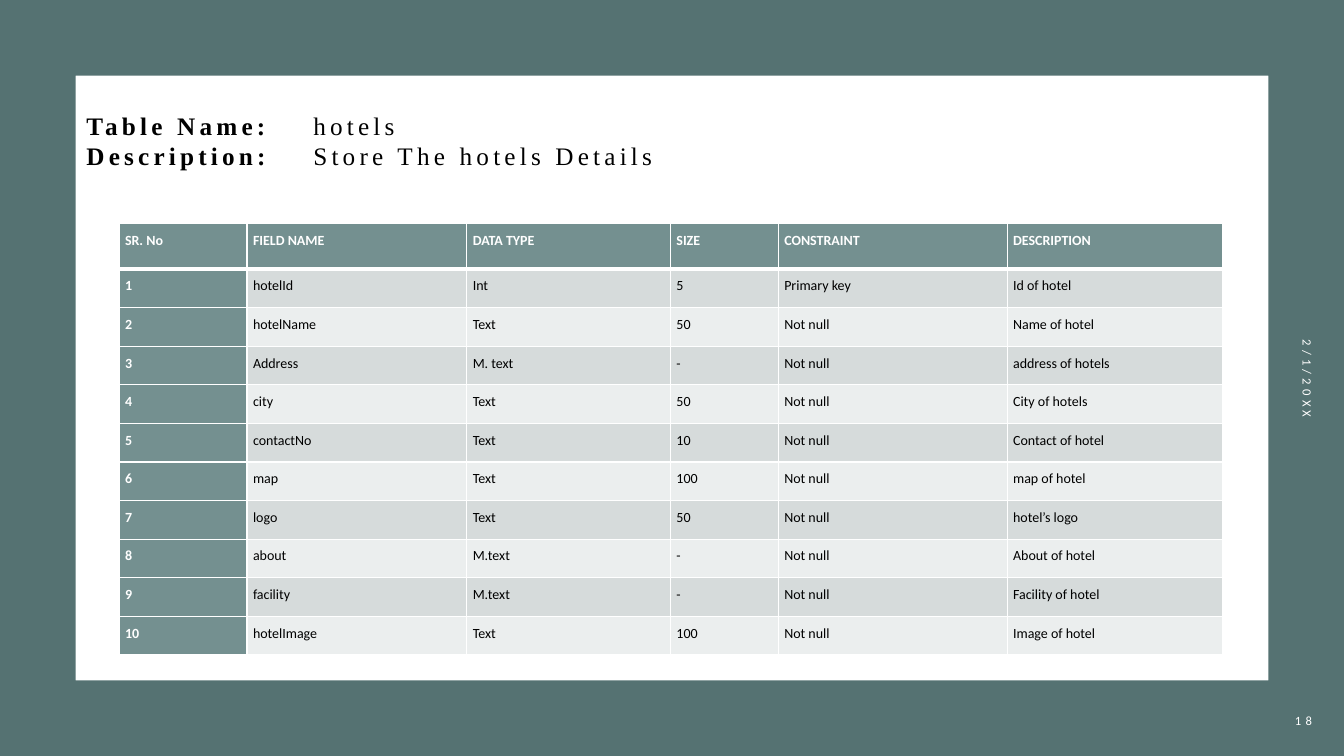
import pptx
import pptx.dml.color
import pptx.enum.shapes
import pptx.enum.text
import pptx.oxml.ns
import pptx.util
from lxml import etree

Inches = pptx.util.Inches
Pt = pptx.util.Pt
ALIGN = pptx.enum.text.PP_ALIGN
MIDDLE = pptx.enum.text.MSO_ANCHOR.MIDDLE

TEAL, HEAD, BANDS = "557272", "749090", ("D6DBDB", "EBEEEE")
WHITE, BLACK = "FFFFFF", "000000"
TITLE = [("Table Name:", "hotels"), ("Description:", "Store The hotels Details")]
WIDTHS = [1.27, 2.18, 2.02, 1.07, 2.27, 2.14]
HEIGHT, TOP_ROW = 4.28, 0.45
FIELDS = [
    ("SR. No", "FIELD NAME", "DATA TYPE", "SIZE", "CONSTRAINT", "DESCRIPTION"),
    ("1", "hotelId", "Int", "5", "Primary key", "Id of hotel"),
    ("2", "hotelName", "Text", "50", "Not null", "Name of hotel"),
    ("3", "Address", "M. text", "-", "Not null", "address of hotels"),
    ("4", "city", "Text", "50", "Not null", "City of hotels"),
    ("5", "contactNo", "Text", "10", "Not null", "Contact of hotel"),
    ("6", "map", "Text", "100", "Not null", "map of hotel"),
    ("7", "logo", "Text", "50", "Not null", "hotel’s logo"),
    ("8", "about", "M.text", "-", "Not null", "About of hotel"),
    ("9", "facility", "M.text", "-", "Not null", "Facility of hotel"),
    ("10", "hotelImage", "Text", "100", "Not null", "Image of hotel"),
]


def rgb(code):
    return pptx.dml.color.RGBColor.from_string(code)


def add_node(parent, tag, **attrs):
    return etree.SubElement(parent, pptx.oxml.ns.qn(tag), **attrs)


def style(run, size, color, bold=False, face="Calibri", gap=0):
    """Format a run; gap is the letter spacing in points."""
    run.font.size = Pt(size)
    run.font.name = face
    run.font.bold = bold
    run.font.color.rgb = rgb(color)
    if gap:
        run._r.get_or_add_rPr().set("spc", str(gap * 100))


def add_frame(slide, width, height):
    shape = slide.shapes.add_shape(
        pptx.enum.shapes.MSO_SHAPE.FRAME, 0, 0, width, height)
    shape.adjustments[0] = 0.1
    shape.shadow.inherit = False
    shape.fill.solid()
    shape.fill.fore_color.rgb = rgb(TEAL)
    shape.line.fill.background()


def add_box(slide, left, top, width, height):
    box = slide.shapes.add_textbox(
        Inches(left), Inches(top), Inches(width), Inches(height))
    box.text_frame.word_wrap = True
    box.text_frame.vertical_anchor = MIDDLE
    return box


def add_note(slide, text, place, align, turn=0):
    box = add_box(slide, *place)
    box.rotation = turn
    box.text_frame.text = text
    para = box.text_frame.paragraphs[0]
    para.alignment = align
    style(para.runs[0], 9, WHITE, gap=3)


def add_title(slide):
    frame = add_box(slide, 0.76, 1.04, 11.5, 0.71).text_frame
    for index, (label, value) in enumerate(TITLE):
        para = frame.add_paragraph() if index else frame.paragraphs[0]
        tabs = add_node(para._p.get_or_add_pPr(), "a:tabLst")
        add_node(tabs, "a:tab", pos=str(Inches(2.25)), algn="l")
        for text, bold in ((label + "\t", True), (value, False)):
            run = para.add_run()
            run.text = text
            style(run, 18, BLACK, bold, "Times New Roman", 3)


def set_edges(cell, top, bottom):
    """Draw white cell borders; top and bottom are widths in points."""
    props = cell._tc.get_or_add_tcPr()
    for side, width in (("L", 1), ("R", 1), ("T", top), ("B", bottom)):
        line = add_node(props, "a:ln" + side, w=str(Pt(width)))
        fill = add_node(line, "a:solidFill")
        add_node(fill, "a:srgbClr", val=WHITE)


def fill_cell(cell, text, row, col):
    head = row == 0 or col == 0
    set_edges(cell, 3 if row == 1 else 1, 3 if row == 0 else 1)
    cell.fill.solid()
    cell.fill.fore_color.rgb = rgb(HEAD if head else BANDS[(row - 1) % 2])
    cell.margin_left = cell.margin_right = Inches(0.06)
    cell.margin_top = cell.margin_bottom = 0
    cell.text_frame.text = text
    para = cell.text_frame.paragraphs[0]
    para.line_spacing = 1.5
    para.space_after = Pt(10)
    style(para.runs[0], 10, WHITE if head else BLACK, head)


def add_grid(slide):
    table = slide.shapes.add_table(
        len(FIELDS), len(WIDTHS), Inches(1.18), Inches(2.22),
        Inches(sum(WIDTHS)), Inches(HEIGHT)).table
    table.first_col = True
    for col, width in enumerate(WIDTHS):
        table.columns[col].width = Inches(width)
    step = (HEIGHT - TOP_ROW) / (len(FIELDS) - 1)
    for row, texts in enumerate(FIELDS):
        table.rows[row].height = Inches(step if row else TOP_ROW)
        for col, text in enumerate(texts):
            fill_cell(table.cell(row, col), text, row, col)


def main():
    deck = pptx.Presentation()
    deck.slide_width, deck.slide_height = Inches(13.33), Inches(7.5)
    slide = deck.slides.add_slide(deck.slide_layouts[6])
    add_frame(slide, deck.slide_width, deck.slide_height)
    add_note(slide, "2/1/20XX", (10.72, 3.53, 4.5, 0.45), ALIGN.CENTER, 90)
    add_note(slide, "18", (12.16, 6.95, 0.95, 0.4), ALIGN.RIGHT)
    add_grid(slide)
    add_title(slide)
    deck.save("out.pptx")


if __name__ == "__main__":
    main()
